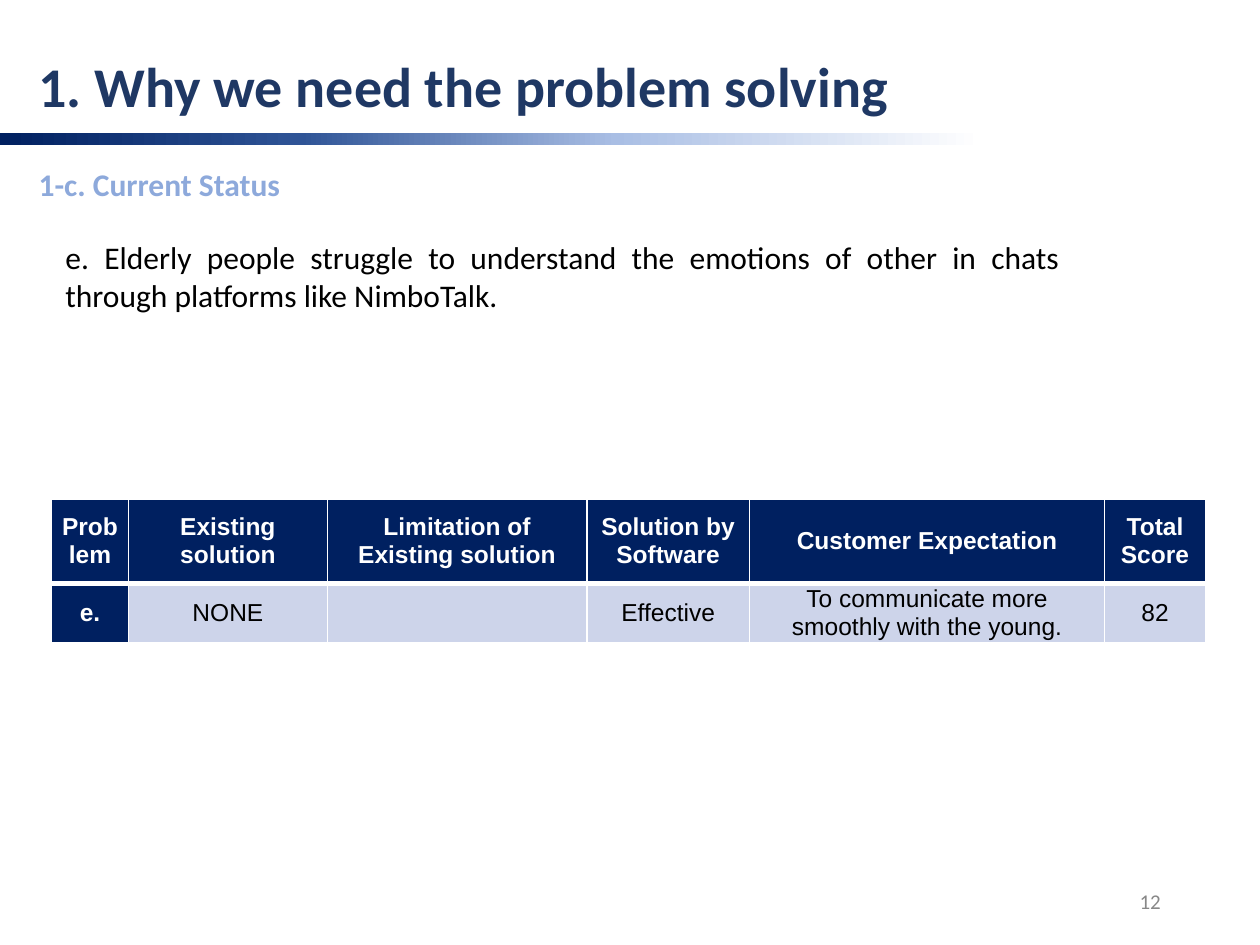
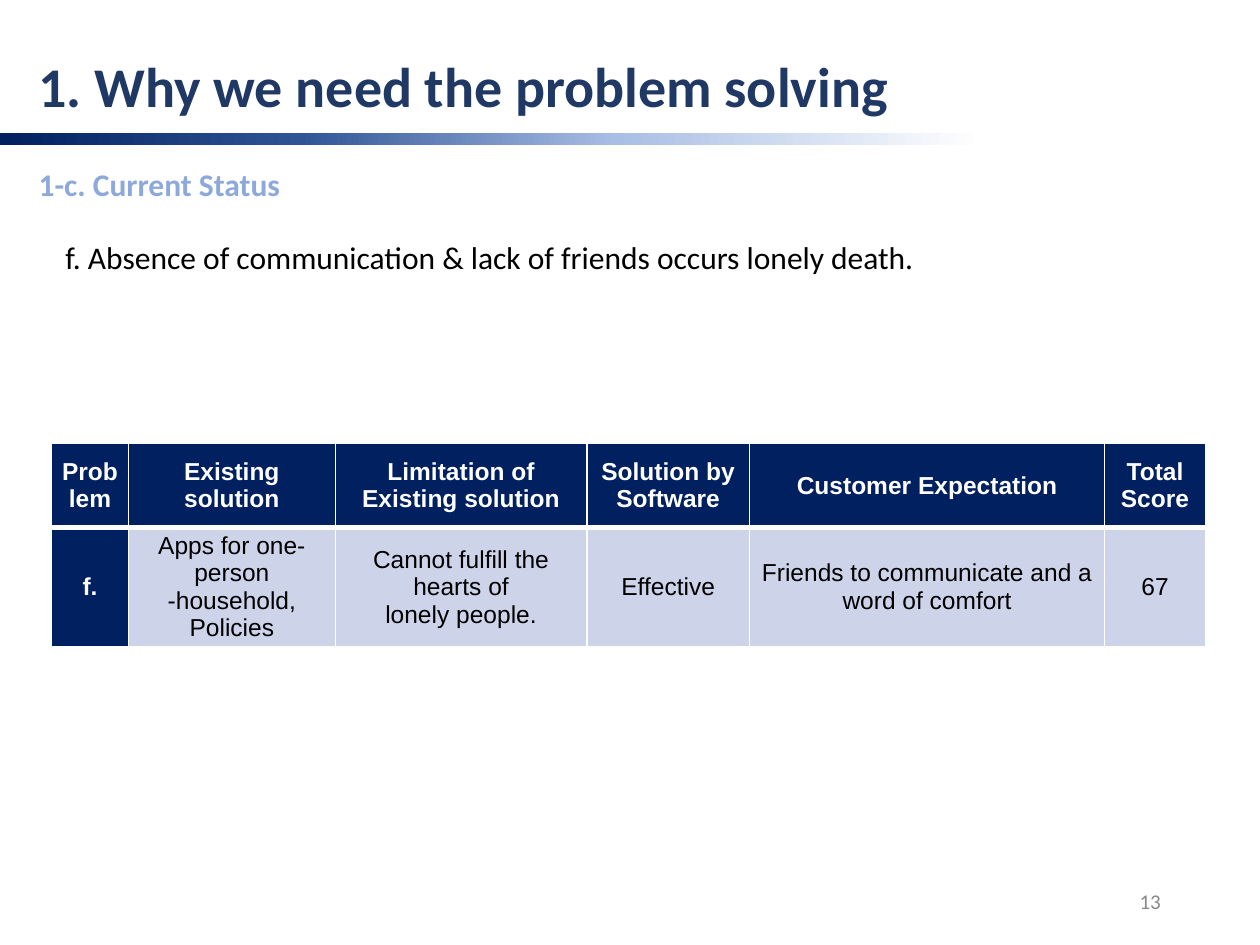
from lxml import etree
from pptx import Presentation
from pptx.dml.color import RGBColor
from pptx.enum.shapes import MSO_SHAPE
from pptx.enum.text import MSO_ANCHOR, PP_ALIGN
from pptx.oxml import parse_xml
from pptx.oxml.ns import nsdecls, qn
from pptx.util import Cm, Pt

RECT = MSO_SHAPE.RECTANGLE
TOP, MIDDLE = MSO_ANCHOR.TOP, MSO_ANCHOR.MIDDLE
LEFT, CENTER, RIGHT, JUSTIFY = PP_ALIGN.LEFT, PP_ALIGN.CENTER, PP_ALIGN.RIGHT, PP_ALIGN.JUSTIFY

COLORS = {
    "navy": "002060", "blue": "2F5496", "sky": "A9BEE4", "white": "FFFFFF",
    "title": "1F3864", "subtitle": "8DA9DB", "black": "000000",
    "gray": "888888", "cell": "CDD4EA",
}
BAND_STOPS = [(0, "navy"), (24, "blue"), (49, "sky"), (78, "white"), (100, "white")]
FORMATS = {
    "title": {"name": "Calibri", "size": Pt(32), "bold": True, "color": "title"},
    "subtitle": {"name": "Calibri", "size": Pt(18), "bold": True, "color": "subtitle"},
    "body": {"name": "Calibri", "size": Pt(18), "bold": False, "color": "black"},
    "number": {"name": "Calibri", "size": Pt(12), "bold": False, "color": "gray"},
    "head": {"name": "Arial", "size": Pt(14), "bold": True, "color": "white"},
    "cell": {"name": "Arial", "size": Pt(14), "bold": False, "color": "black"},
}
HEADERS = ["Problem", "Existing solution", "Limitation of Existing solution",
           "Solution by Software", "Customer Expectation", "Total Score"]
HEADER_HEIGHT = 1.7
SLIDES = [
    {
        "number": "12",
        "statement": "e. Elderly people struggle to understand the emotions of other "
                     "in chats through platforms like NimboTalk.",
        "statement_height": 1.8,
        "table_top": 10.06,
        "row_height": 1.17,
        "widths": [1.55, 4.01, 5.23, 3.28, 7.16, 2.03],
        "row": ["e.", "NONE", "", "Effective",
                "To communicate more smoothly with the young.", "82"],
    },
    {
        "number": "13",
        "statement": "f. Absence of communication & lack of friends occurs lonely death.",
        "statement_height": 1.02,
        "table_top": 8.94,
        "row_height": 2.39,
        "widths": [1.55, 4.17, 5.07, 3.28, 7.16, 2.03],
        "row": ["f.", "Apps for one-person\n-household, Policies",
                "Cannot fulfill the hearts of\nlonely people.", "Effective",
                "Friends to communicate and a word of comfort", "67"],
    },
]


def rgb(color):
    return RGBColor.from_string(COLORS[color])


def write_text(tf, text, style, align):
    for i, line in enumerate(text.split("\n")):
        p = tf.add_paragraph() if i else tf.paragraphs[0]
        p.alignment = align
        if not line:
            continue
        r = p.add_run()
        r.text = line
        for key, value in FORMATS[style].items():
            if key == "color":
                r.font.color.rgb = rgb(value)
            else:
                setattr(r.font, key, value)


def add_text(s, box, text, style, align=LEFT, anchor=TOP):
    tf = s.shapes.add_textbox(*map(Cm, box)).text_frame
    tf.word_wrap = True
    tf.vertical_anchor = anchor
    write_text(tf, text, style, align)


def add_band(s):
    sp = s.shapes.add_shape(RECT, Cm(-0.03), Cm(2.69), Cm(25.4), Cm(0.23))
    sp.shadow.inherit = False
    sp.line.fill.background()
    sp.fill.gradient()
    sp.fill.gradient_angle = 0
    stops = sp._element.spPr.find(".//" + qn("a:gsLst"))
    for stop in list(stops):
        stops.remove(stop)
    for position, color in BAND_STOPS:
        stop = etree.SubElement(stops, qn("a:gs"), pos=str(position * 1000))
        etree.SubElement(stop, qn("a:srgbClr"), val=COLORS[color])


def set_borders(cell, widths):
    tcPr = cell._tc.get_or_add_tcPr()
    for i, (side, width) in enumerate(widths.items()):
        tcPr.insert(i, parse_xml(
            f'<a:ln{side} {nsdecls("a")} w="{Pt(width)}"><a:solidFill>'
            f'<a:srgbClr val="{COLORS["white"]}"/></a:solidFill></a:ln{side}>'))


def add_table(s, top, widths, row_height, row):
    heights = [HEADER_HEIGHT, row_height]
    table = s.shapes.add_table(2, len(HEADERS), Cm(1.04), Cm(top),
                               Cm(sum(widths)), Cm(sum(heights))).table
    table.horz_banding = False
    for column, width in zip(table.columns, widths):
        column.width = Cm(width)
    for r, (height, texts) in enumerate(zip(heights, [HEADERS, row])):
        table.rows[r].height = Cm(height)
        for c, text in enumerate(texts):
            is_head = r == 0 or c == 0
            cell = table.cell(r, c)
            cell.vertical_anchor = MIDDLE
            cell.margin_left = cell.margin_right = Cm(0.18)
            cell.margin_top = cell.margin_bottom = 0
            cell.fill.solid()
            cell.fill.fore_color.rgb = rgb("navy" if is_head else "cell")
            set_borders(cell, {"L": 1, "R": 1, "T": 3 if r else 1, "B": 1 if r else 3})
            write_text(cell.text_frame, text, "head" if is_head else "cell", CENTER)


def add_frame(s, number):
    add_band(s)
    add_text(s, (0.53, 0.91, 19.66, 1.63), "1. Why we need the problem solving", "title")
    add_text(s, (0.53, 3.2, 15.54, 1.02), "1-c. Current Status", "subtitle")
    add_text(s, (17.93, 17.65, 5.72, 1.02), number, "number", RIGHT, MIDDLE)


def main():
    prs = Presentation()
    prs.slide_width, prs.slide_height = Cm(25.4), Cm(19.05)
    for content in SLIDES:
        s = prs.slides.add_slide(prs.slide_layouts[6])
        add_frame(s, content["number"])
        add_text(s, (1.07, 4.67, 20.55, content["statement_height"]),
                 content["statement"], "body", JUSTIFY)
        add_table(s, content["table_top"], content["widths"],
                  content["row_height"], content["row"])
    prs.save("out.pptx")


if __name__ == "__main__":
    main()
